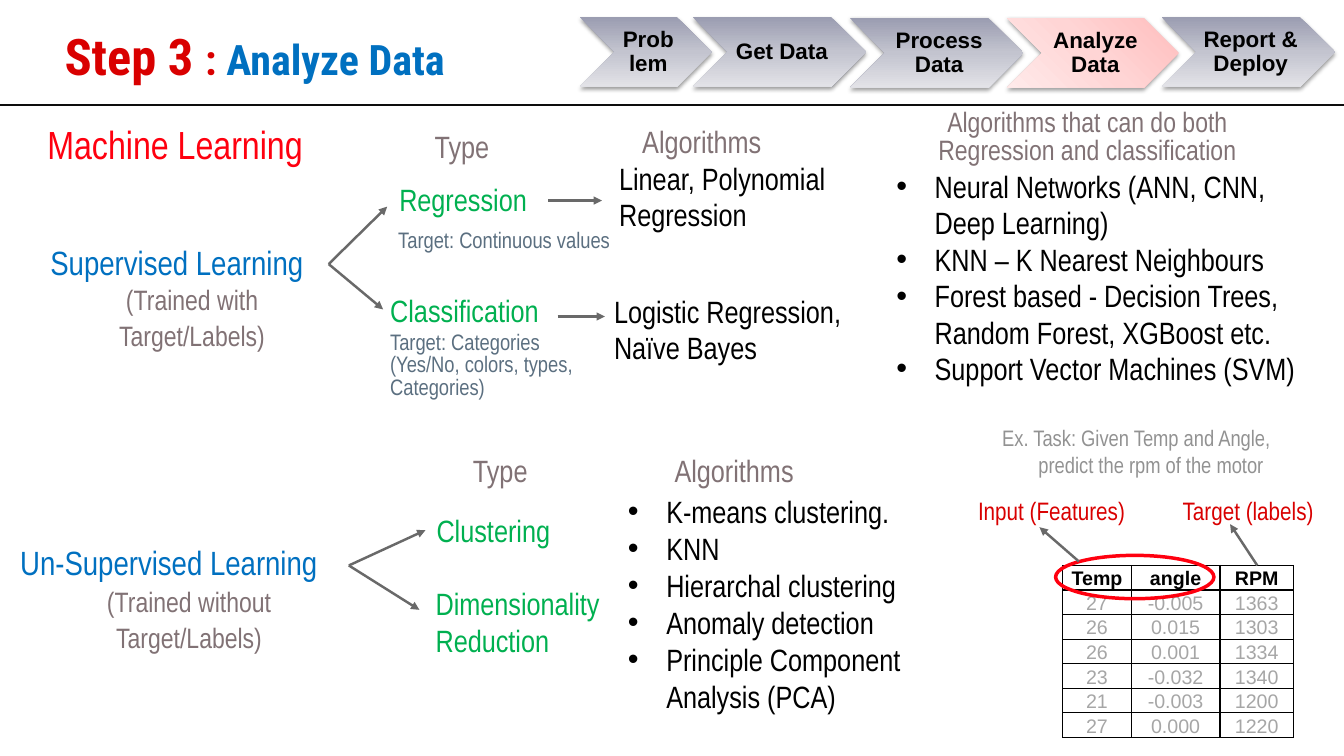
from copy import deepcopy

from lxml import etree
from pptx import Presentation
from pptx import util as u
from pptx.dml.color import RGBColor
from pptx.enum import shapes, text
from pptx.oxml.ns import qn

PX = 9144  # EMU in one px, 100 px to the inch
BODY, LABEL, TITLE = "Arial Narrow", "Arial", "Roboto Condensed"

BLACK = RGBColor(0x00, 0x00, 0x00)
WHITE = RGBColor(0xFF, 0xFF, 0xFF)
INK = RGBColor(0x0D, 0x0D, 0x0D)
RED = RGBColor(0xFF, 0x00, 0x0F)
DARK_RED = RGBColor(0xD9, 0x00, 0x00)
BLUE = RGBColor(0x00, 0x70, 0xC0)
GREEN = RGBColor(0x00, 0xB0, 0x50)
TAUPE = RGBColor(0x81, 0x72, 0x75)
SLATE = RGBColor(0x5B, 0x6F, 0x80)
GREY = RGBColor(0x92, 0x92, 0x92)
PALE = RGBColor(0xA6, 0xA6, 0xA6)
ARROW = RGBColor(0x69, 0x69, 0x69)
STEEL_FADE = (RGBColor(0x9B, 0x9D, 0xB1), RGBColor(0xC3, 0xC4, 0xCF), RGBColor(0xE2, 0xE2, 0xE7))
PINK_FADE = (RGBColor(0xFF, 0xBD, 0xBD), RGBColor(0xFF, 0xD5, 0xD5), RGBColor(0xFF, 0xEA, 0xEA))

CENTER = text.PP_ALIGN.CENTER


def px(*lengths):
    return [u.Emu(length * PX) for length in lengths]


def add_child(parent, tag, **attributes):
    return etree.SubElement(parent, qn(tag), {k: str(v) for k, v in attributes.items()})


class Board:
    def __init__(self, prs):
        self.slide = prs.slides.add_slide(prs.slide_layouts[6])
        self.shapes = self.slide.shapes

    def set_font(self, paragraph, size, color, name=BODY, bold=False):
        font = paragraph.font
        font.name, font.size, font.bold = name, u.Pt(size), bold
        font.color.rgb = color

    def set_margins(self, holder, left, top, right, bottom):
        (holder.margin_left, holder.margin_top,
         holder.margin_right, holder.margin_bottom) = px(left, top, right, bottom)

    def indent(self, paragraph, left, first=0):
        properties = paragraph._p.get_or_add_pPr()
        properties.set("marL", str(left * PX))
        properties.set("indent", str(first * PX))
        return properties

    def label(self, box, lines, size, color, spacing=None, align=None, bullets=False, inset=(0, 0, 0, 0)):
        """Add a text box with one paragraph per line; spacing is in points."""
        frame = self.shapes.add_textbox(*px(*box)).text_frame
        frame.word_wrap = True
        self.set_margins(frame, *inset)
        for i, line in enumerate(lines):
            paragraph = frame.add_paragraph() if i else frame.paragraphs[0]
            paragraph.text = line
            if bullets:
                properties = self.indent(paragraph, 38, -38)
                add_child(properties, "a:buFont", typeface="Arial")
                add_child(properties, "a:buChar", char="•")
            if spacing:
                paragraph.line_spacing = u.Pt(spacing)
            paragraph.alignment = align
            self.set_font(paragraph, size, color)
        return frame

    def title(self, box, parts):
        """Add one bold line made of (words, size, color) parts."""
        paragraph = self.label(box, [""], 30, DARK_RED).paragraphs[0]
        self.set_font(paragraph, 30, DARK_RED, TITLE, True)
        for words, size, color in parts:
            run = paragraph.add_run()
            run.text = words
            run.font.size = u.Pt(size)
            run.font.color.rgb = color

    def line(self, start, end, color=ARROW, width=1.75, arrow=True):
        connector = self.shapes.add_connector(shapes.MSO_CONNECTOR.STRAIGHT, *px(*start, *end))
        connector.line.color.rgb = color
        connector.line.width = u.Pt(width)
        properties = connector._element.spPr
        if arrow:
            add_child(properties.find(qn("a:ln")), "a:tailEnd", type="triangle")
        add_child(properties, "a:effectLst")

    def chevron(self, box, label, fade, angle):
        step = self.shapes.add_shape(shapes.MSO_SHAPE.CHEVRON, *px(*box))
        step.fill.gradient()
        step.fill.gradient_angle = angle
        stop_list = step._element.spPr.find(".//" + qn("a:gsLst"))
        stop_list.append(deepcopy(stop_list[0]))
        for stop, position, color in zip(step.fill.gradient_stops, (0, 0.5, 1), fade):
            stop.position = position
            stop.color.rgb = color
        step.line.fill.background()
        step.shadow.inherit = False
        effects = step._element.spPr.find(qn("a:effectLst"))
        shadow = add_child(effects, "a:outerShdw", blurRad=u.Pt(3.1), dist=u.Pt(1.6),
                           dir=5400000, rotWithShape=0)
        add_child(add_child(shadow, "a:srgbClr", val=BLACK), "a:alpha", val=38000)
        frame = step.text_frame
        frame.word_wrap = True
        frame.vertical_anchor = text.MSO_ANCHOR.MIDDLE
        self.set_margins(frame, 7, 2, 2, 2)
        paragraph = frame.paragraphs[0]
        paragraph.text = label
        paragraph.alignment = CENTER
        paragraph.line_spacing = 0.9
        self.set_font(paragraph, 16, BLACK, LABEL, True)

    def ring(self, box):
        oval = self.shapes.add_shape(shapes.MSO_SHAPE.OVAL, *px(*box))
        oval.fill.background()
        oval.line.color.rgb = RED
        oval.line.width = u.Pt(2.5)
        oval.shadow.inherit = False

    def table(self, left, top, widths, row_height, rows):
        size = px(left, top, sum(widths), row_height * len(rows))
        grid = self.shapes.add_table(len(rows), len(widths), *size).table
        grid.first_row = grid.horz_banding = False
        for column, width in zip(grid.columns, px(*widths)):
            column.width = width
        for r, values in enumerate(rows):
            grid.rows[r].height = px(row_height)[0]
            for c, value in enumerate(values):
                self.fill_cell(grid.cell(r, c), value, r == 0)

    def fill_cell(self, cell, value, heading):
        self.set_margins(cell, 1, 1, 1, 0)
        cell.vertical_anchor = text.MSO_ANCHOR.BOTTOM
        properties = cell._tc.get_or_add_tcPr()
        for side in ("a:lnL", "a:lnR", "a:lnT", "a:lnB"):
            border = add_child(properties, side, w=u.Pt(1))
            add_child(add_child(border, "a:solidFill"), "a:srgbClr", val=BLACK)
        cell.fill.solid()
        cell.fill.fore_color.rgb = WHITE
        paragraph = cell.text_frame.paragraphs[0]
        paragraph.text = value
        paragraph.alignment = CENTER
        self.set_font(paragraph, 14, BLACK if heading else PALE, LABEL, heading)


def main():
    prs = Presentation()
    prs.slide_width, prs.slide_height = px(1333, 750)
    board = Board(prs)

    board.line((0, 104), (1333, 104), INK, 1, arrow=False)
    for left, top, width, step in ((575, 17, 131, "Problem"), (687, 17, 172, "Get Data"),
                                   (843, 18, 172, "Process Data"), (1152, 17, 172, "Report & Deploy")):
        board.chevron((left, top, width, 69), step, STEEL_FADE, 270)
    board.chevron((999, 18, 170, 69), "Analyze Data", PINK_FADE, 225)
    board.title((64, 25, 500, 78), (("Step 3 ", 36, DARK_RED), (": ", 30, DARK_RED),
                                    ("Analyze Data", 30, BLUE)))

    board.label((47, 119, 300, 53), ["Machine Learning"], 28, RED)
    for box, branch in (((50, 240, 344, 69), "Supervised Learning"),
                        ((20, 538, 349, 69), "Un-Supervised Learning")):
        board.label(box, [branch], 24, BLUE)
    for box, training in (((102, 277, 177, 71), "(Trained with Target/Labels)"),
                          ((85, 577, 205, 59), "(Trained without Target/Labels)")):
        board.label(box, [training], 20, TAUPE, 26, CENTER)

    for left, top, heading in ((431, 127, "Type"), (637, 122, "Algorithms"),
                               (469, 449, "Type"), (669, 449, "Algorithms")):
        board.label((left, top, 206, 47), [heading], 22, TAUPE, 26)
    for left, top, kind in ((396, 180, "Regression"), (387, 290, "Classification"),
                            (433, 508, "Clustering"), (432, 581, "Dimensionality Reduction")):
        board.label((left, top, 199, 44), [kind], 22, GREEN, 26)
    board.label((395, 229, 277, 34), ["Target: Continuous values"], 16, SLATE, 16)
    board.label((387, 330, 277, 71), ["Target: Categories", "(Yes/No, colors, types,", "Categories)"],
                16, SLATE, 16)

    board.label((614, 159, 302, 81), ["Linear, Polynomial Regression"], 22, BLACK, 26)
    board.label((609, 291, 274, 87), ["Logistic Regression,", "Naïve Bayes"], 22, BLACK, 26)
    board.label((890, 109, 377, 59), ["Algorithms that can do both", "Regression and classification"],
                20, TAUPE, 20, CENTER)
    board.label((889, 167, 425, 257),
                ["Neural Networks (ANN, CNN, Deep Learning)", "KNN – K Nearest Neighbours",
                 "Forest based - Decision Trees, Random Forest, XGBoost etc.",
                 "Support Vector Machines (SVM)"], 22, BLACK, 26, bullets=True)
    board.label((613, 484, 325, 232),
                ["K-means clustering.", "KNN", "Hierarchal clustering", "Anomaly detection",
                 "Principle Component Analysis (PCA)"], 22, BLACK, bullets=True, inset=(10, 5, 10, 5))

    task = board.label((994, 421, 296, 69),
                       ["Ex. Task: Given Temp and Angle,", "predict the rpm of the motor"], 16, GREY)
    board.indent(task.paragraphs[1], 36)
    board.label((970, 491, 159, 39), ["Input (Features)"], 18, DARK_RED)
    board.label((1173, 491, 141, 36), ["Target (labels)"], 18, DARK_RED)
    board.table(1054, 561, (68, 88, 73), 24,
                (("Temp", "angle", "RPM"), ("27", "-0.005", "1363"), ("26", "0.015", "1303"),
                 ("26", "0.001", "1334"), ("23", "-0.032", "1340"), ("21", "-0.003", "1200"),
                 ("27", "0.000", "1220")))
    board.ring((1047, 551, 157, 43))

    for start, end in (((326, 262), (384, 205)), ((326, 262), (380, 307)),
                       ((544, 199), (597, 199)), ((553, 314), (600, 314)),
                       ((346, 561), (422, 526)), ((346, 561), (416, 605)),
                       ((1070, 557), (1031, 523)), ((1247, 561), (1220, 520))):
        board.line(start, end)

    prs.save("out.pptx")


if __name__ == "__main__":
    main()
